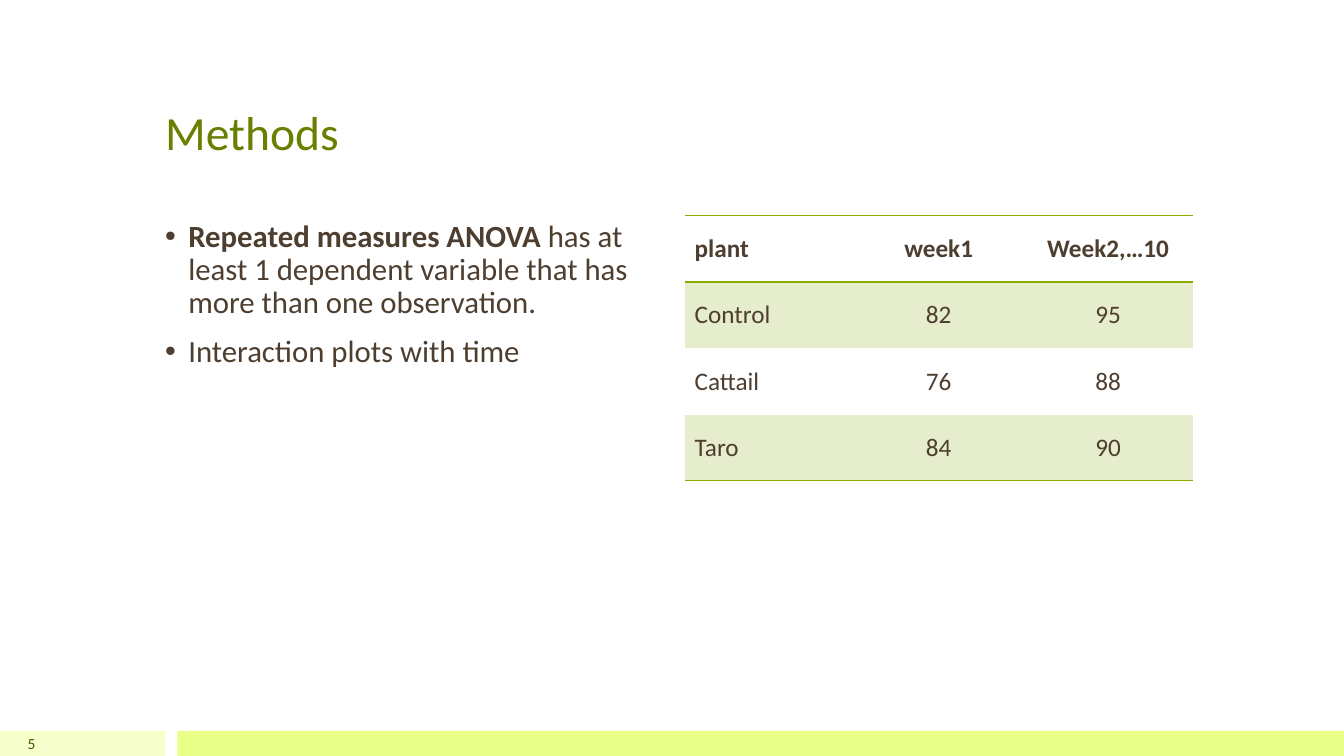
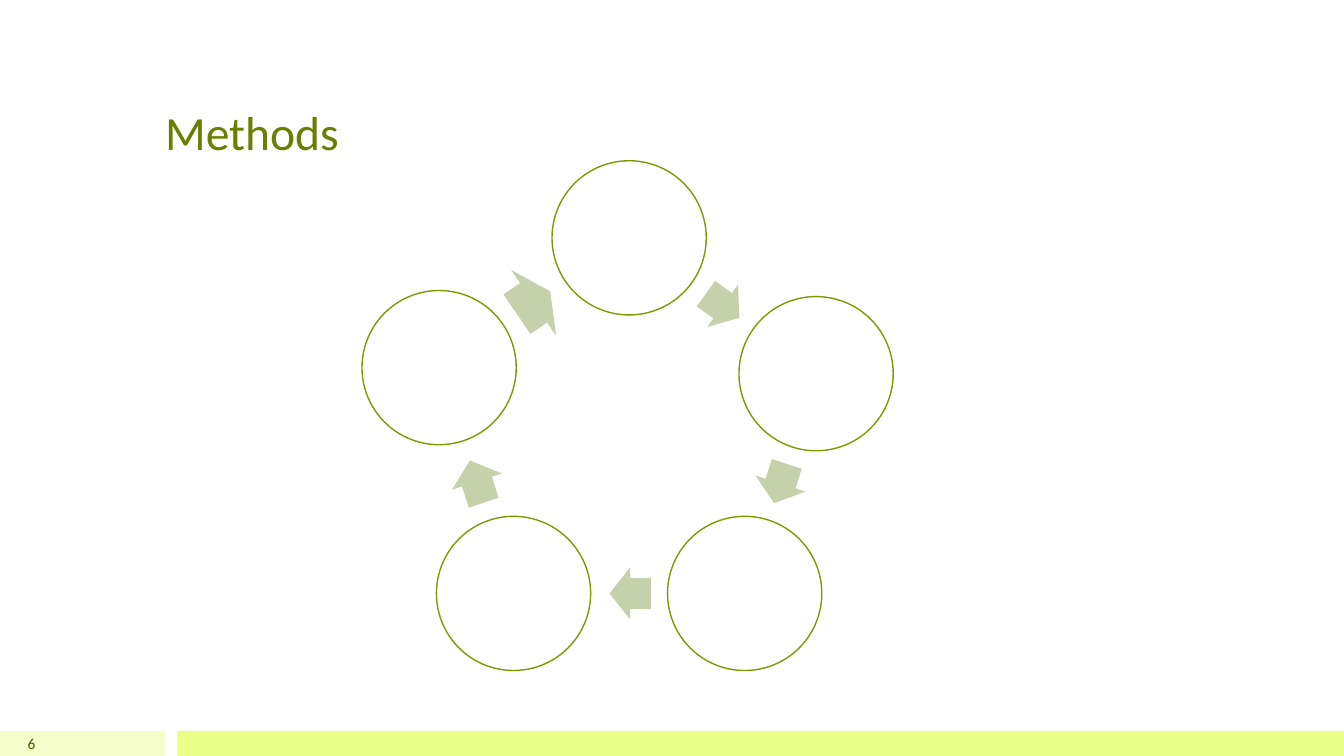
from dataclasses import dataclass
from math import cos, pi, radians, sin

from lxml.etree import SubElement
from pptx import Presentation
from pptx.dml.color import RGBColor
from pptx.enum.shapes import MSO_SHAPE as Shape
from pptx.enum.text import MSO_ANCHOR as Anchor, PP_ALIGN as Align
from pptx.oxml import parse_xml
from pptx.oxml.ns import nsdecls, qn
from pptx.util import Inches, Pt


@dataclass(frozen=True)
class Theme:
    font: str = "Calibri"
    title: str = "688000"
    text: str = "4D3E2F"
    number: str = "455500"
    band_light: str = "F6FFCC"
    band: str = "E9FF88"
    rule: str = "8BAA00"
    row_tint: str = "E6EDCD"
    node: str = "FFFFFF"
    node_line: str = "7E9A00"
    arrow: str = "C4D1AB"
    title_size: int = 34
    body_size: int = 22
    table_size: int = 18
    number_size: int = 11


theme = Theme()
NO_TABLE_STYLE = "{2D5ABB26-0587-4C30-8999-92F81FD0307C}"


def add_run(paragraph, text, size, color, bold=False):
    run = paragraph.add_run()
    run.text = text
    formats = {"name": theme.font, "size": Pt(size), "bold": bold}
    for key, value in formats.items():
        setattr(run.font, key, value)
    run.font.color.rgb = RGBColor.from_string(color)


def add_filled(slide, kind, left, top, width, height, color, line=None):
    shape = slide.shapes.add_shape(
        kind, Inches(left), Inches(top), Inches(width), Inches(height))
    shape.shadow.inherit = False
    shape.fill.solid()
    shape.fill.fore_color.rgb = RGBColor.from_string(color)
    if line:
        shape.line.color.rgb = RGBColor.from_string(line)
        shape.line.width = Pt(1)
    else:
        shape.line.fill.background()
    return shape


prs = Presentation()
prs.slide_width, prs.slide_height = Inches(13.33), Inches(7.5)

# Bands, title and number on every slide
slides = []
for number in (5, 6):
    slide = prs.slides.add_slide(prs.slide_layouts[6])
    slides.append(slide)
    add_filled(slide, Shape.RECTANGLE, 0, 7.25, 1.64, 0.25, theme.band_light)
    add_filled(slide, Shape.RECTANGLE, 1.76, 7.25, 11.57, 0.25, theme.band)

    title = slide.shapes.add_textbox(
        Inches(1.54), Inches(0.3), Inches(10.25), Inches(1.29)).text_frame
    title_format = {"word_wrap": True, "vertical_anchor": Anchor.BOTTOM,
                    "margin_bottom": 0}
    for key, value in title_format.items():
        setattr(title, key, value)
    add_run(title.paragraphs[0], "Methods", theme.title_size, theme.title)

    page = slide.shapes.add_textbox(
        0, Inches(7.25), Inches(0.45), Inches(0.25)).text_frame
    page_format = {"word_wrap": True, "vertical_anchor": Anchor.MIDDLE}
    for key, value in page_format.items():
        setattr(page, key, value)
    page.paragraphs[0].alignment = Align.RIGHT
    add_run(page.paragraphs[0], str(number), theme.number_size, theme.number)

methods_slide, cycle_slide = slides

# Bullets: each is a list of (text, bold)
bullets = [
    [("Repeated measures ANOVA", True),
     (" has at least 1 dependent variable that has more than one observation.",
      False)],
    [("Interaction plots with time", False)],
]
body = methods_slide.shapes.add_textbox(
    Inches(1.54), Inches(2.14), Inches(5.04), Inches(5.05)).text_frame
body.word_wrap = True
for index, parts in enumerate(bullets):
    paragraph = body.add_paragraph() if index else body.paragraphs[0]
    paragraph.line_spacing = 0.9
    paragraph.space_before = Pt(11)
    properties = paragraph._p.get_or_add_pPr()
    properties.set("marL", str(Inches(0.23)))
    properties.set("indent", str(-Inches(0.23)))
    SubElement(properties, qn("a:buFont"), typeface="Arial")
    SubElement(properties, qn("a:buChar"), char="•")
    for text, bold in parts:
        add_run(paragraph, text, theme.body_size, theme.text, bold)

# Plant table
plant_rows = [
    ("plant", "week1", "Week2,…10"),
    ("Control", "82", "95"),
    ("Cattail", "76", "88"),
    ("Taro", "84", "90"),
]
ruled_sides = {0: ("lnT", "lnB"), len(plant_rows) - 1: ("lnB",)}
plants = methods_slide.shapes.add_table(
    len(plant_rows), 3, Inches(6.79), Inches(2.14),
    Inches(5.04), Inches(2.63)).table
plants._tbl.tblPr.find(qn("a:tableStyleId")).text = NO_TABLE_STYLE
for r, row in enumerate(plant_rows):
    for c, text in enumerate(row):
        cell = plants.cell(r, c)
        cell.vertical_anchor = Anchor.MIDDLE
        if r % 2:
            cell.fill.solid()
            cell.fill.fore_color.rgb = RGBColor.from_string(theme.row_tint)
        else:
            cell.fill.background()
        for position, side in enumerate(ruled_sides.get(r, ())):
            cell._tc.get_or_add_tcPr().insert(position, parse_xml(
                f'<a:{side} {nsdecls("a")} w="{Pt(1)}"><a:solidFill>'
                f'<a:srgbClr val="{theme.rule}"/></a:solidFill></a:{side}>'))
        paragraph = cell.text_frame.paragraphs[0]
        paragraph.alignment = Align.CENTER if c else Align.LEFT
        add_run(paragraph, text, theme.table_size, theme.text, bold=r == 0)

# Cycle: five nodes on a ring, an arrow after each one
center_x, center_y, radius, node_size = 6.24, 4.31, 1.95, 1.53
arrow_radius = radius * cos(pi / 5)
step = 72
# Node shift x, y; arrow width, height, shift x, y, extra turn
cycle = [
    (0, 0, 0.41, 0.52, 0, 0, 0),
    (0, 0, 0.41, 0.52, 0, 0, 0),
    (0, 0, 0.41, 0.52, 0.01, 0, 0),
    (0, 0, 0.44, 0.52, -0.01, -0.02, 0),
    (-0.03, -0.06, 0.4, 0.79, -0.02, -0.03, 1.6),
]
for index, (node_dx, node_dy, width, height, dx, dy, turn) in enumerate(cycle):
    angle = index * step
    x = center_x + radius * sin(radians(angle)) + node_dx
    y = center_y - radius * cos(radians(angle)) + node_dy
    add_filled(cycle_slide, Shape.OVAL, x - node_size / 2, y - node_size / 2,
               node_size, node_size, theme.node, theme.node_line)

    angle += step / 2
    x = center_x + arrow_radius * sin(radians(angle)) + dx
    y = center_y - arrow_radius * cos(radians(angle)) + dy
    arrow = add_filled(cycle_slide, Shape.RIGHT_ARROW, x - width / 2,
                       y - height / 2, width, height, theme.arrow)
    arrow.adjustments[0] = 0.6
    arrow.adjustments[1] = 0.5
    arrow.rotation = angle + turn

prs.save("out.pptx")
